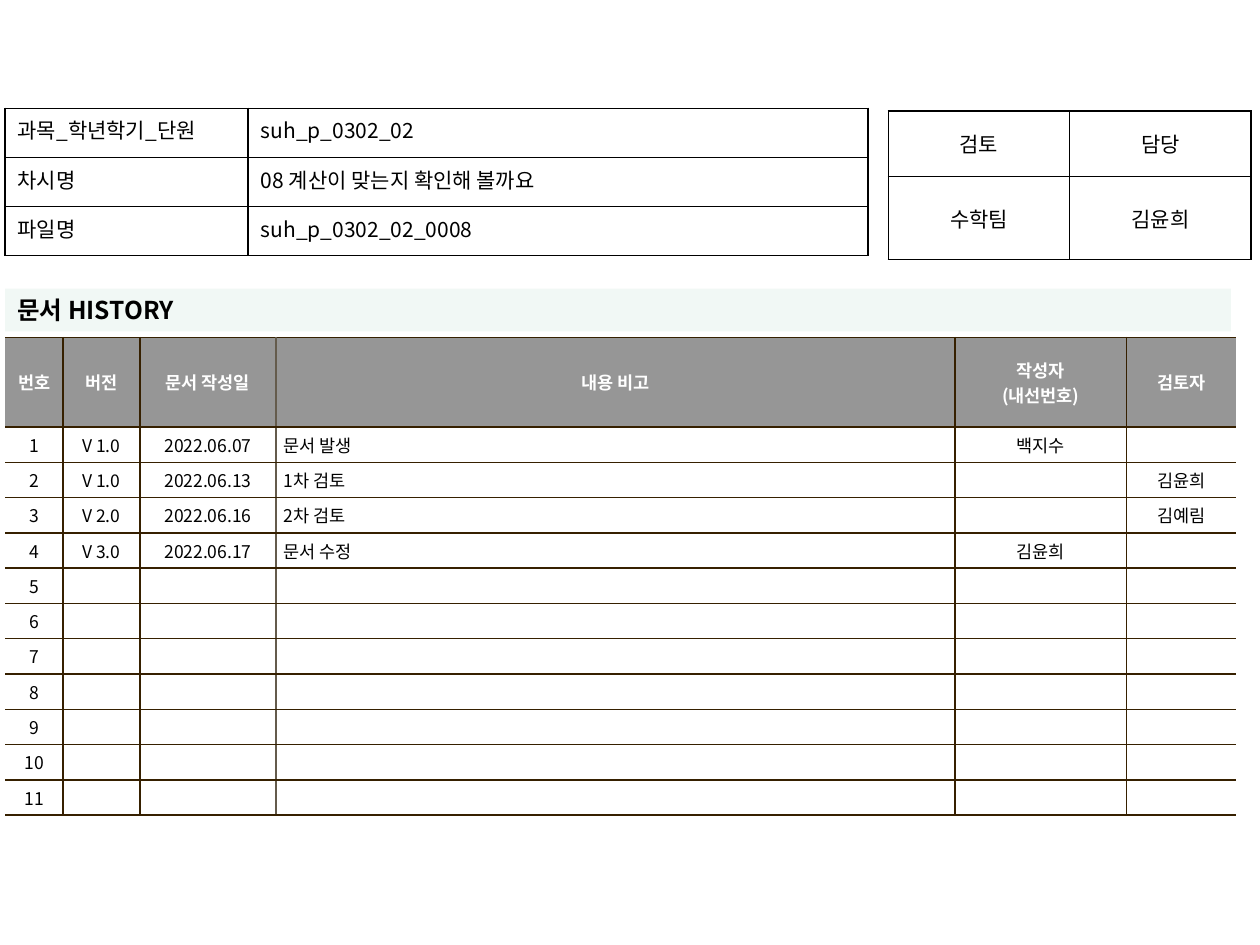
from dataclasses import dataclass
from typing import Optional

from lxml.etree import SubElement
from pptx import Presentation
from pptx.dml.color import RGBColor
from pptx.enum.shapes import MSO_SHAPE
from pptx.enum.text import MSO_ANCHOR, PP_ALIGN
from pptx.oxml import parse_xml
from pptx.oxml.ns import nsdecls, qn
from pptx.util import Inches, Pt

GRID_COLUMNS, GRID_ROWS = 1000, 750


@dataclass(frozen=True)
class Theme:
    font: str = "Noto Sans CJK KR"
    black: str = "000000"
    white: str = "FFFFFF"
    header: str = "969696"
    banner: str = "F1F8F5"
    brown: str = "362000"
    taupe: str = "645B4C"
    history_size: int = 10
    form_size: int = 12
    title_size: int = 14
    border_width: int = 1


@dataclass(frozen=True)
class CellStyle:
    size: int
    color: str
    borders: dict[str, Optional[str]]
    fill: Optional[str] = None
    bold: bool = False
    align: PP_ALIGN = PP_ALIGN.CENTER
    anchor: MSO_ANCHOR = MSO_ANCHOR.MIDDLE
    margins: tuple[float, float] = (0.1, 0.05)
    hanging: float = 0


@dataclass(frozen=True)
class Grid:
    left: int
    top: int
    columns: list[int]
    rows: list[int]


THEME = Theme()
presentation = Presentation()
presentation.slide_width = Inches(10)
presentation.slide_height = Inches(7.5)
slide = presentation.slides.add_slide(presentation.slide_layouts[6])


def across(columns: int) -> int:
    return presentation.slide_width * columns // GRID_COLUMNS


def down(rows: int) -> int:
    return presentation.slide_height * rows // GRID_ROWS


def add_text(paragraph, text: str, size: int, color: str, bold: bool) -> None:
    run = paragraph.add_run()
    run.text = text
    run.font.size = Pt(size)
    run.font.bold = bold
    run.font.name = THEME.font
    run.font.color.rgb = RGBColor.from_string(color)
    SubElement(run.font._element, qn("a:ea"), typeface=THEME.font)


def set_borders(cell, borders: dict[str, Optional[str]]) -> None:
    properties = cell._tc.get_or_add_tcPr()
    for position, side in enumerate("LRTB"):
        color = borders[side]
        paint = (
            f'<a:solidFill><a:srgbClr val="{color}"/></a:solidFill>'
            if color
            else "<a:noFill/>"
        )
        line = parse_xml(
            f'<a:ln{side} {nsdecls("a")} w="{Pt(THEME.border_width)}">{paint}</a:ln{side}>'
        )
        properties.insert(position, line)


def fill_cell(cell, text: str, style: CellStyle) -> None:
    cell.margin_left = cell.margin_right = Inches(style.margins[0])
    cell.margin_top = cell.margin_bottom = Inches(style.margins[1])
    cell.vertical_anchor = style.anchor
    if style.fill:
        cell.fill.solid()
        cell.fill.fore_color.rgb = RGBColor.from_string(style.fill)
    else:
        cell.fill.background()
    set_borders(cell, style.borders)
    for index, line in enumerate(text.split("\n")):
        frame = cell.text_frame
        paragraph = frame.add_paragraph() if index else frame.paragraphs[0]
        paragraph.alignment = style.align
        if style.hanging:
            properties = paragraph._p.get_or_add_pPr()
            properties.set("marL", str(Inches(style.hanging)))
            properties.set("indent", str(-Inches(style.hanging)))
        if line:
            add_text(paragraph, line, style.size, style.color, style.bold)
        else:
            SubElement(paragraph._p, qn("a:endParaRPr"), sz=str(style.size * 100))


def add_grid(grid: Grid):
    frame = slide.shapes.add_table(
        len(grid.rows), len(grid.columns), across(grid.left), down(grid.top),
        across(sum(grid.columns)), down(sum(grid.rows)),
    )
    table = frame.table
    table.first_row = table.horz_banding = False
    for column, width in zip(table.columns, grid.columns):
        column.width = across(width)
    for row, height in zip(table.rows, grid.rows):
        row.height = down(height)
    return table


def history_style(row: int, column: int) -> CellStyle:
    dividers = [None, THEME.brown, THEME.brown, THEME.taupe, THEME.brown, THEME.brown, None]
    borders = {
        "L": dividers[column], "R": dividers[column + 1],
        "T": THEME.brown, "B": THEME.brown,
    }
    is_header = row == 0
    is_note = column == 3 and not is_header
    is_reviewer = column == 5 and not is_header
    return CellStyle(
        size=THEME.history_size,
        color=THEME.white if is_header else THEME.black,
        borders=borders,
        fill=THEME.header if is_header else THEME.white,
        bold=is_header,
        align=PP_ALIGN.LEFT if is_note else PP_ALIGN.CENTER,
        margins=(0.06, 0.04),
        hanging=0.19 if is_note else 0.09 if is_reviewer else 0,
    )


def form_style(align: PP_ALIGN, anchor: MSO_ANCHOR) -> CellStyle:
    borders = dict.fromkeys("LRTB", THEME.black)
    return CellStyle(THEME.form_size, THEME.black, borders, align=align, anchor=anchor)


def add_history() -> None:
    headings = ["번호", "버전", "문서 작성일", "내용 비고", "작성자\n(내선번호)", "검토자"]
    revisions = [
        ["V 1.0", "2022.06.07", "문서 발생", "백지수", ""],
        ["V 1.0", "2022.06.13", "1차 검토", "", "김윤희"],
        ["V 2.0", "2022.06.16", "2차 검토", "", "김예림"],
        ["V 3.0", "2022.06.17", "문서 수정", "김윤희", ""],
    ]
    revisions += [[""] * 5] * 7
    records = [headings] + [
        [str(number), *revision] for number, revision in enumerate(revisions, 1)
    ]
    table = add_grid(Grid(4, 268, [46, 61, 108, 539, 136, 87], [71] + [25] * 11))
    for row, record in enumerate(records):
        for column, text in enumerate(record):
            fill_cell(table.cell(row, column), text, history_style(row, column))


def add_form(grid: Grid, records: list[list[str]], styles: list[CellStyle]) -> None:
    table = add_grid(grid)
    for row, record in enumerate(records):
        for column, (text, style) in enumerate(zip(record, styles)):
            fill_cell(table.cell(row, column), text, style)


def add_banner(text: str) -> None:
    shape = slide.shapes.add_shape(
        MSO_SHAPE.RECTANGLE, across(4), down(229), across(973), down(34)
    )
    shape.shadow.inherit = False
    shape.fill.solid()
    shape.fill.fore_color.rgb = RGBColor.from_string(THEME.banner)
    shape.line.fill.background()
    shape.text_frame.word_wrap = True
    shape.text_frame.vertical_anchor = MSO_ANCHOR.MIDDLE
    paragraph = shape.text_frame.paragraphs[0]
    paragraph.alignment = PP_ALIGN.LEFT
    add_text(paragraph, text, THEME.title_size, THEME.black, True)


add_history()
add_form(
    Grid(705, 88, [144] * 2, [52, 66]),
    [["검토", "담당"], ["수학팀", "김윤희"]],
    [form_style(PP_ALIGN.CENTER, MSO_ANCHOR.MIDDLE)] * 2,
)
add_banner("문서 HISTORY")
add_form(
    Grid(4, 86, [193, 492], [39] * 3),
    [
        ["과목_학년학기_단원", "suh_p_0302_02"],
        ["차시명", "08 계산이 맞는지 확인해 볼까요"],
        ["파일명", "suh_p_0302_02_0008"],
    ],
    [form_style(align, MSO_ANCHOR.TOP) for align in (PP_ALIGN.JUSTIFY, PP_ALIGN.LEFT)],
)
presentation.save("out.pptx")
